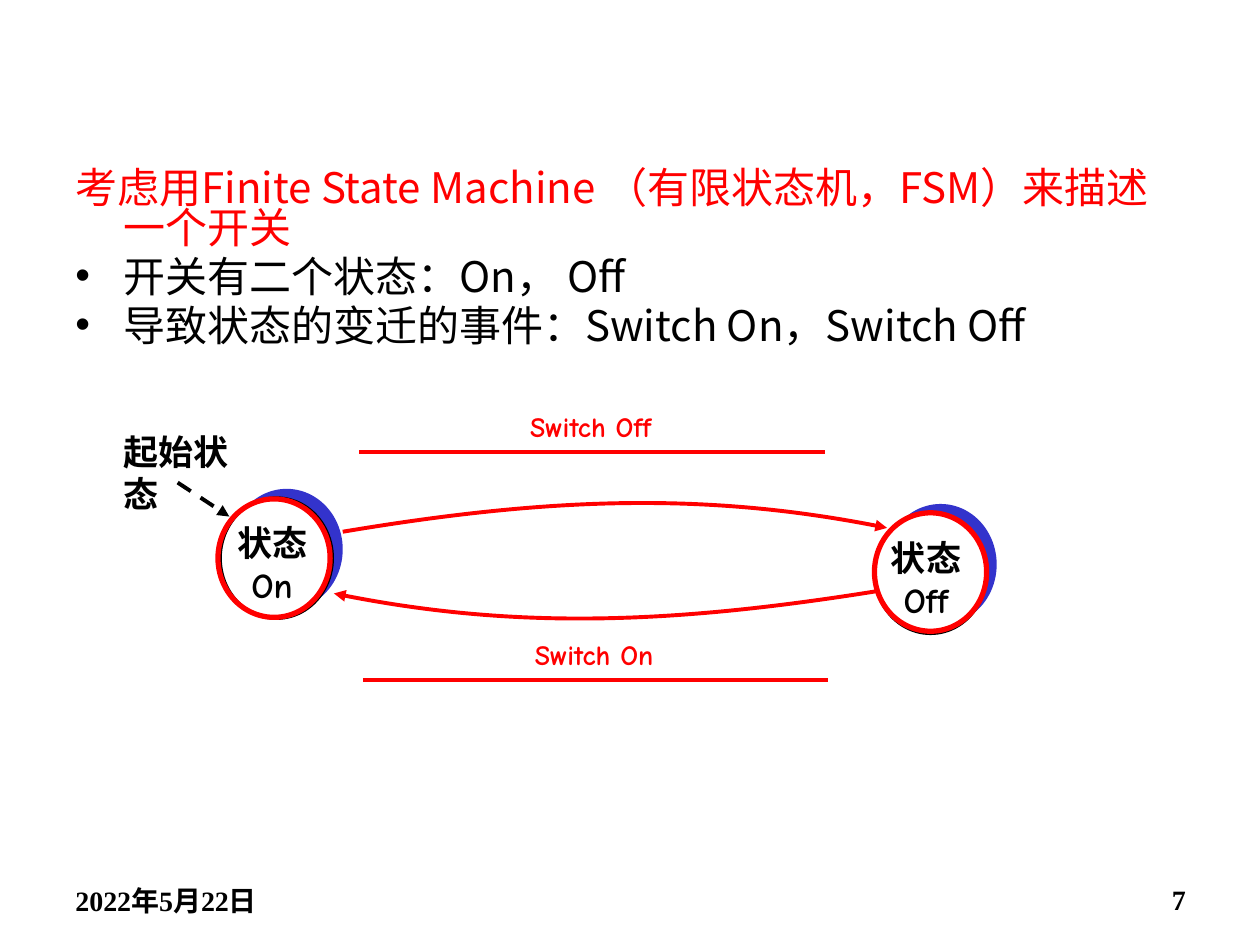
from lxml import etree
from pptx import Presentation
from pptx.dml.color import RGBColor
from pptx.enum import dml, shapes, text
from pptx.oxml import ns
from pptx.util import Inches, Pt

RED, BLACK, BLUE, WHITE = "FF0000", "000000", "3333CC", "FFFFFF"
LEFT, MID, RIGHT = text.PP_ALIGN.LEFT, text.PP_ALIGN.CENTER, text.PP_ALIGN.RIGHT
TOP, LOW = text.MSO_ANCHOR.TOP, text.MSO_ANCHOR.BOTTOM
BODY = [
    ("考虑用Finite State Machine （有限状态机，FSM）来描述一个开关", RED, False),
    ("开关有二个状态：On， Off", BLACK, True),
    ("导致状态的变迁的事件：Switch On，Switch Off", BLACK, True),
]
STATES = [("On", 1.75, 3.95, 1.73, 3.96), ("Off", 6.94, 4.07, 6.94, 4.07)]
EVENTS = [
    ("Switch Off", (3.99, 3.2, 1.4, 0.37), (2.85, 3.59), (6.55, 3.59)),
    ("Switch On", (4.07, 5.01, 1.29, 0.37), (2.88, 5.4), (6.57, 5.4)),
]
CURVES = [
    [(2.72, 4.22), (4.33, 3.95), (5.62, 3.9), (7.04, 4.19)],
    [(6.97, 4.69), (5.35, 4.95), (4.06, 5), (2.65, 4.71)],
]

deck = Presentation()
deck.slide_width, deck.slide_height = Inches(10), Inches(7.5)
slide = deck.slides.add_slide(deck.slide_layouts[6])


def color(code):
    return RGBColor.from_string(code)


def add(parent, tag, **attrs):
    return etree.SubElement(parent, ns.qn(tag), **attrs)


def style(font, size, name, code, bold):
    font.size, font.name, font.bold = Pt(size), name, bold
    font.color.rgb = color(code)


def stroke(line, code, width):
    line.color.rgb = color(code)
    line.width = Pt(width)


def arrow(item):
    add(item.line._get_or_add_ln(), "a:tailEnd", type="triangle")


def label(box, lines, size, name, code=BLACK, align=LEFT, anchor=TOP, wrap=True):
    frame = slide.shapes.add_textbox(*map(Inches, box)).text_frame
    frame.word_wrap, frame.vertical_anchor = wrap, anchor
    frame.text = "\n".join(lines)
    for para in frame.paragraphs:
        para.alignment = align
        style(para.font, size, name, code, True)


def oval(x, y, high, fill=None, edge=None, width=0):
    item = slide.shapes.add_shape(
        shapes.MSO_SHAPE.OVAL, Inches(x), Inches(y), Inches(0.89), Inches(high))
    item.shadow.inherit = False
    if fill:
        item.fill.solid()
        item.fill.fore_color.rgb = color(fill)
    else:
        item.fill.background()
    if edge:
        stroke(item.line, edge, width)
    else:
        item.line.fill.background()


def rule(start, end, code):
    item = slide.shapes.add_connector(
        shapes.MSO_CONNECTOR.STRAIGHT, *map(Inches, start + end))
    stroke(item.line, code, 2.25)
    add(item._element.spPr, "a:effectLst")
    return item


def curve(points):
    start, *rest = [(Inches(x), Inches(y)) for x, y in points]
    form = slide.shapes.build_freeform(*start)
    form.add_line_segments(rest, close=False)
    item = form.convert_to_shape()
    item.shadow.inherit = False
    item.fill.background()
    stroke(item.line, RED, 2.25)
    track = item._element.xpath(".//a:path")[0]
    bend = add(track, "a:cubicBezTo")
    for step in track.findall(ns.qn("a:lnTo")):
        bend.append(step[0])
        track.remove(step)
    arrow(item)


def body():
    frame = slide.shapes.add_textbox(*map(Inches, (0.5, 1.31, 9, 1.5))).text_frame
    frame.word_wrap = True
    frame.text = "\n".join(row[0] for row in BODY)
    for num, (para, (_, code, dot)) in enumerate(zip(frame.paragraphs, BODY)):
        para.line_spacing = 0.8
        para.space_before = Pt(4.8 if num else 0)
        props = para._p.get_or_add_pPr()
        props.set("marL", str(Inches(0.38)))
        props.set("indent", str(Inches(-0.38)))
        if dot:
            add(props, "a:buFont", typeface="Arial")
            add(props, "a:buChar", char="•")
        style(para.font, 24, "Noto Sans CJK SC", code, False)


label((0.5, 6.83, 2.33, 0.5), ["2022年5月22日"], 16, "Times New Roman", anchor=LOW)
label((6.34, 6.82, 3.17, 0.5), ["7"], 16, "Times New Roman", align=RIGHT, anchor=LOW)
body()
for name, x, y, ring_x, ring_y in STATES:
    oval(x + 0.08, y - 0.07, 0.96, BLUE)
    oval(x, y, 0.96, WHITE, BLACK, 1.5)
    label((x + 0.03, y + 0.14, 0.76, 0.77), ["状态", name], 20, "Comic Neue",
          align=MID, wrap=False)
    oval(ring_x, ring_y, 0.94, None, RED, 3)
for name, box, start, end in EVENTS:
    label(box, [name], 16, "Comic Neue", RED, MID, wrap=False)
    rule(start, end, RED)
for points in CURVES:
    curve(points)
entry = rule((1.41, 3.83), (1.82, 4.1), BLACK)
entry.line.dash_style = dml.MSO_LINE.DASH
arrow(entry)
label((0.88, 3.37, 1.21, 0.4), ["起始状态"], 20, "Arial")
deck.save("out.pptx")
